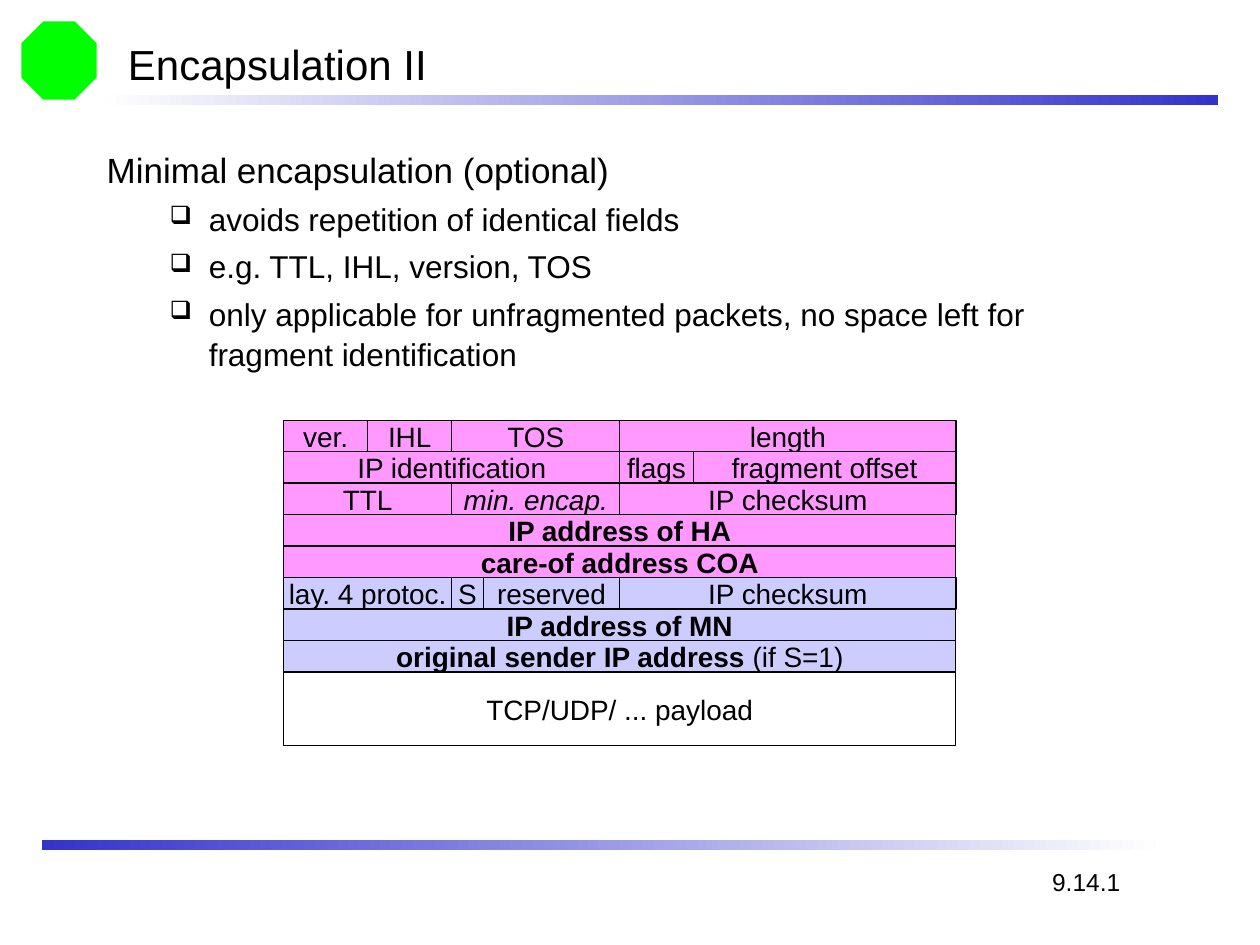
from dataclasses import dataclass

from lxml import etree
from pptx import Presentation
from pptx import util as u
from pptx.dml.color import RGBColor
from pptx.enum import shapes, text
from pptx.oxml.ns import qn


@dataclass(frozen=True)
class Theme:
    font: str = "Arial"
    ink: RGBColor = RGBColor(0x00, 0x00, 0x00)
    paper: RGBColor = RGBColor(0xFE, 0xFE, 0xFE)
    accent: RGBColor = RGBColor(0x33, 0x33, 0xCC)
    emblem: RGBColor = RGBColor(0x00, 0xFF, 0x00)
    outer: RGBColor = RGBColor(0xFF, 0x99, 0xFF)
    inner: RGBColor = RGBColor(0xCC, 0xCC, 0xFF)
    title_size: int = 24
    lead_size: int = 20
    bullet_size: int = 18
    field_size: int = 16
    number_size: int = 14


THEME = Theme()

TABLE_LEFT, TABLE_TOP, TABLE_WIDTH = 5.72, 8.47, 13.55
ROW_HEIGHT = 5.08 / 8
PAYLOAD_HEIGHT = 1.48
BITS_PER_ROW = 32

# Each field: width in bits, text, style ("b" bold, "i" italic), plain ending
OUTER_HEADER = [
    [(4, "ver."), (4, "IHL"), (8, "TOS"), (16, "length")],
    [(16, "IP identification"), (3.5, "flags"), (12.5, "fragment offset")],
    [(8, "TTL"), (8, "min. encap.", "i"), (16, "IP checksum")],
    [(32, "IP address of HA", "b")],
    [(32, "care-of address COA", "b")],
]
INNER_HEADER = [
    [(8, "lay. 4 protoc."), (1.5, "S"), (6.5, "reserved"), (16, "IP checksum")],
    [(32, "IP address of MN", "b")],
    [(32, "original sender IP address ", "b", "(if S=1)")],
]
PAYLOAD = [[(32, "TCP/UDP/ ... payload")]]
BULLETS = [
    "avoids repetition of identical fields",
    "e.g. TTL, IHL, version, TOS",
    "only applicable for unfragmented packets, no space left for fragment identification",
]


class SlideBuilder:
    def __init__(self, slide, theme):
        self.slide = slide
        self.theme = theme

    def style(self, paragraph, size):
        font = paragraph.font
        font.name, font.size = self.theme.font, u.Pt(size)
        font.color.rgb = self.theme.ink

    def shape(self, kind, left, top, width, height):
        """Add a preset shape with neither line nor shadow."""
        shape = self.slide.shapes.add_shape(
            kind, u.Cm(left), u.Cm(top), u.Cm(width), u.Cm(height))
        shape.shadow.inherit = False
        shape.line.fill.background()
        return shape

    def emblem(self, left, top, width, height):
        shape = self.shape(shapes.MSO_SHAPE.OCTAGON, left, top, width, height)
        shape.fill.solid()
        shape.fill.fore_color.rgb = self.theme.emblem

    def gradient_bar(self, left, top, start, end):
        bar = self.shape(shapes.MSO_SHAPE.RECTANGLE, left, top, 22.43, 0.21)
        bar.fill.gradient()
        bar.fill.gradient_angle = 0
        for stop, color in zip(bar.fill.gradient_stops, (start, end)):
            stop.color.rgb = color

    def text_box(self, left, top, width, height, content, size,
                 anchor=text.MSO_ANCHOR.TOP, wrap=True):
        box = self.slide.shapes.add_textbox(
            u.Cm(left), u.Cm(top), u.Cm(width), u.Cm(height))
        frame = box.text_frame
        frame.word_wrap, frame.vertical_anchor = wrap, anchor
        frame.text = content
        self.style(frame.paragraphs[0], size)
        return frame

    def bullet(self, frame, content):
        paragraph = frame.add_paragraph()
        paragraph.text = content
        paragraph.space_before = u.Pt(4.5)
        paragraph.line_spacing = 1.05
        properties = paragraph._p.get_or_add_pPr()
        properties.set("marL", str(u.Cm(2.06)))
        properties.set("indent", str(u.Cm(-0.79)))
        etree.SubElement(properties, qn("a:buSzPct"), val="80000")
        etree.SubElement(properties, qn("a:buChar"), char="❑")
        self.style(paragraph, self.theme.bullet_size)

    def field(self, left, top, width, height, fill, content, style="", ending=""):
        shape = self.shape(shapes.MSO_SHAPE.RECTANGLE, left, top, width, height)
        if fill is None:
            shape.fill.background()
        else:
            shape.fill.solid()
            shape.fill.fore_color.rgb = fill
        shape.line.color.rgb = self.theme.ink
        shape.line.width = u.Pt(0.75)
        frame = shape.text_frame
        frame.word_wrap = False
        frame.vertical_anchor = text.MSO_ANCHOR.MIDDLE
        paragraph = frame.paragraphs[0]
        paragraph.alignment = text.PP_ALIGN.CENTER
        self.style(paragraph, self.theme.field_size)
        run = paragraph.add_run()
        run.text = content
        run.font.bold, run.font.italic = style == "b", style == "i"
        if ending:
            paragraph.add_run().text = ending

    def header_rows(self, rows, top, height, fill):
        """Draw rows of fields and return the top of the next row."""
        for row in rows:
            left = TABLE_LEFT
            for bits, *label in row:
                width = TABLE_WIDTH * bits / BITS_PER_ROW
                self.field(left, top, width, height, fill, *label)
                left += width
            top += height
        return top


def main():
    presentation = Presentation()
    presentation.slide_width, presentation.slide_height = u.Cm(25.4), u.Cm(19.05)
    slide = presentation.slides.add_slide(presentation.slide_layouts[6])
    builder = SlideBuilder(slide, THEME)

    builder.emblem(0.43, 0.43, 1.52, 1.58)
    builder.gradient_bar(2.12, 1.91, THEME.paper, THEME.accent)
    builder.gradient_bar(0.85, 16.93, THEME.accent, THEME.paper)
    builder.text_box(2.33, 0.64, 21.59, 1.27, "Encapsulation II",
                     THEME.title_size, text.MSO_ANCHOR.MIDDLE)

    body = builder.text_box(1.9, 2.82, 21.59, 4.8,
                            "Minimal encapsulation (optional)", THEME.lead_size)
    body.paragraphs[0].line_spacing = 1.05
    for content in BULLETS:
        builder.bullet(body, content)

    top = builder.header_rows(OUTER_HEADER, TABLE_TOP, ROW_HEIGHT, THEME.outer)
    top = builder.header_rows(INNER_HEADER, top, ROW_HEIGHT, THEME.inner)
    builder.header_rows(PAYLOAD, top, PAYLOAD_HEIGHT, None)

    builder.text_box(20.96, 17.36, 1.88, 0.86, "9.14.1",
                     THEME.number_size, wrap=False)
    presentation.save("out.pptx")


if __name__ == "__main__":
    main()
